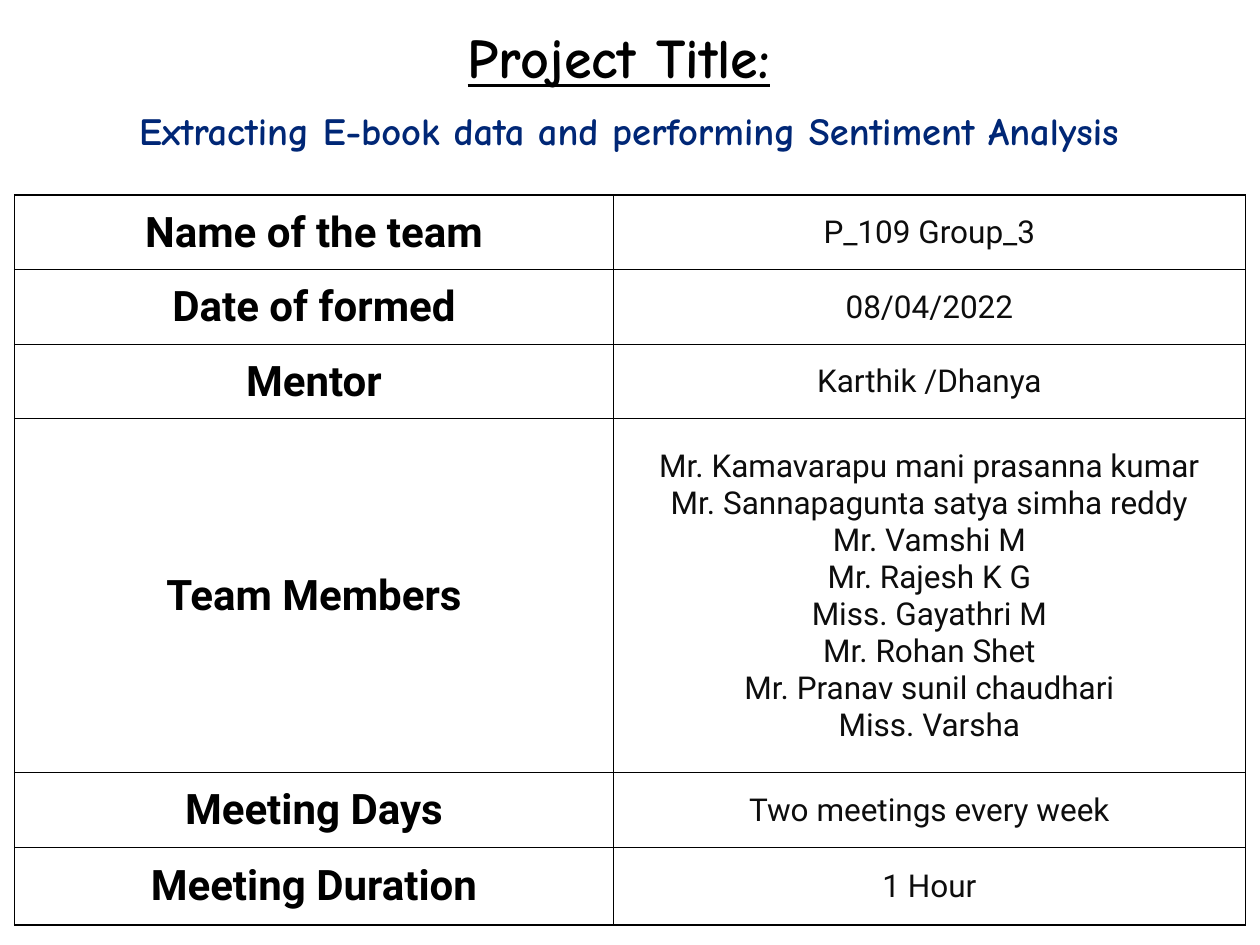
"""Build the project title slide with its team details table."""
from dataclasses import dataclass

from lxml.etree import SubElement
from pptx import Presentation
from pptx.dml.color import RGBColor as Color
from pptx.enum.text import MSO_ANCHOR as Anchor, MSO_AUTO_SIZE as AutoSize, PP_ALIGN as Align
from pptx.oxml.ns import qn
from pptx.util import Pt


@dataclass(frozen=True)
class Theme:
    heading_font: str = "Comic Neue"
    body_font: str = "Roboto"
    black: str = "000000"
    value_color: str = "0D0D0D"
    subtitle_color: str = "002776"
    white: str = "FFFFFF"
    title_size: float = 32
    subtitle_size: float = 22
    label_size: float = 24
    value_size: float = 18
    outer_line: float = 1
    inner_line: float = 0.5


class SlideBuilder:
    def __init__(self, slide, theme):
        self.slide = slide
        self.theme = theme

    def set_format(self, run, style):
        for name, value in style.items():
            if name == "color":
                run.font.color.rgb = Color.from_string(value)
            else:
                setattr(run.font, name, Pt(value) if name == "size" else value)

    def text_box(self, left, top, width, height, paragraphs):
        shape = self.slide.shapes.add_textbox(Pt(left), Pt(top), Pt(width), Pt(height))
        frame = shape.text_frame
        frame.word_wrap = True
        frame.auto_size = AutoSize.SHAPE_TO_FIT_TEXT
        for index, runs in enumerate(paragraphs):
            paragraph = frame.add_paragraph() if index else frame.paragraphs[0]
            paragraph.alignment = Align.CENTER
            for text, style in runs:
                run = paragraph.add_run()
                run.text = text
                self.set_format(run, style)

    def border(self, cell, side, width):
        line = SubElement(cell._tc.get_or_add_tcPr(), qn(f"a:ln{side}"), w=str(Pt(width)))
        fill = SubElement(line, qn("a:solidFill"))
        SubElement(fill, qn("a:srgbClr"), val=self.theme.black)

    def cell(self, cell, text, style, outer_sides):
        margins = {"margin_left": 0.72, "margin_right": 0.72, "margin_top": 0.72, "margin_bottom": 0}
        for name, value in margins.items():
            setattr(cell, name, Pt(value))
        cell.vertical_anchor = Anchor.MIDDLE
        for side in "LRTB":
            outer = side in outer_sides
            self.border(cell, side, self.theme.outer_line if outer else self.theme.inner_line)
        cell.fill.solid()
        cell.fill.fore_color.rgb = Color.from_string(self.theme.white)
        cell.text_frame.text = text
        for paragraph in cell.text_frame.paragraphs:
            paragraph.alignment = Align.CENTER
            for run in paragraph.runs:
                self.set_format(run, style)

    def table(self, left, top, widths, heights, rows, styles):
        size = Pt(sum(widths)), Pt(sum(heights))
        table = self.slide.shapes.add_table(len(rows), len(widths), Pt(left), Pt(top), *size).table
        table.first_row = table.horz_banding = False
        for column, width in zip(table.columns, widths):
            column.width = Pt(width)
        for row, height in zip(table.rows, heights):
            row.height = Pt(height)
        for row_index, texts in enumerate(rows):
            vertical = {0: "T", len(rows) - 1: "B"}.get(row_index, "")
            for column_index, text in enumerate(texts):
                horizontal = {0: "L", len(widths) - 1: "R"}.get(column_index, "")
                cell = table.cell(row_index, column_index)
                self.cell(cell, text, styles[column_index], vertical + horizontal)


def main():
    presentation = Presentation()
    presentation.slide_width, presentation.slide_height = Pt(720), Pt(540)
    theme = Theme()
    builder = SlideBuilder(presentation.slides.add_slide(presentation.slide_layouts[6]), theme)

    heading = {"name": theme.heading_font, "size": theme.title_size, "color": theme.black, "bold": True}
    subtitle = heading | {"size": theme.subtitle_size, "color": theme.subtitle_color}
    label = {"name": theme.body_font, "size": theme.label_size, "color": theme.black, "bold": True}
    value = label | {"size": theme.value_size, "color": theme.value_color, "bold": False}

    middle_members = "\v".join([
        "Mr. Sannapagunta satya simha reddy",
        "Mr. Vamshi M",
        "Mr. Rajesh K G",
        "Miss. Gayathri M",
        "Mr. Rohan Shet",
        "Mr. Pranav sunil chaudhari",
    ])
    members = "\n".join(["Mr. Kamavarapu mani prasanna kumar", middle_members, "Miss. Varsha"])
    rows = [
        ("Name of the team", "P_109 Group_3"),
        ("Date of formed", "08/04/2022"),
        ("Mentor", "Karthik /Dhanya"),
        ("Team Members", members),
        ("Meeting Days", "Two meetings every week"),
        ("Meeting Duration", "1 Hour"),
    ]
    row_height = 42.6
    heights = [row_height] * 3 + [202.3, row_height, 44.5]
    builder.table(8.4, 111.4, [342, 361.4], heights, rows, [label, value])
    builder.text_box(2, 9.4, 703.4, 85, [
        [("Project Title:", heading | {"underline": True})],
        [(" ", heading), ("Extracting E-book data and performing Sentiment Analysis", subtitle)],
    ])
    presentation.save("out.pptx")


if __name__ == "__main__":
    main()
